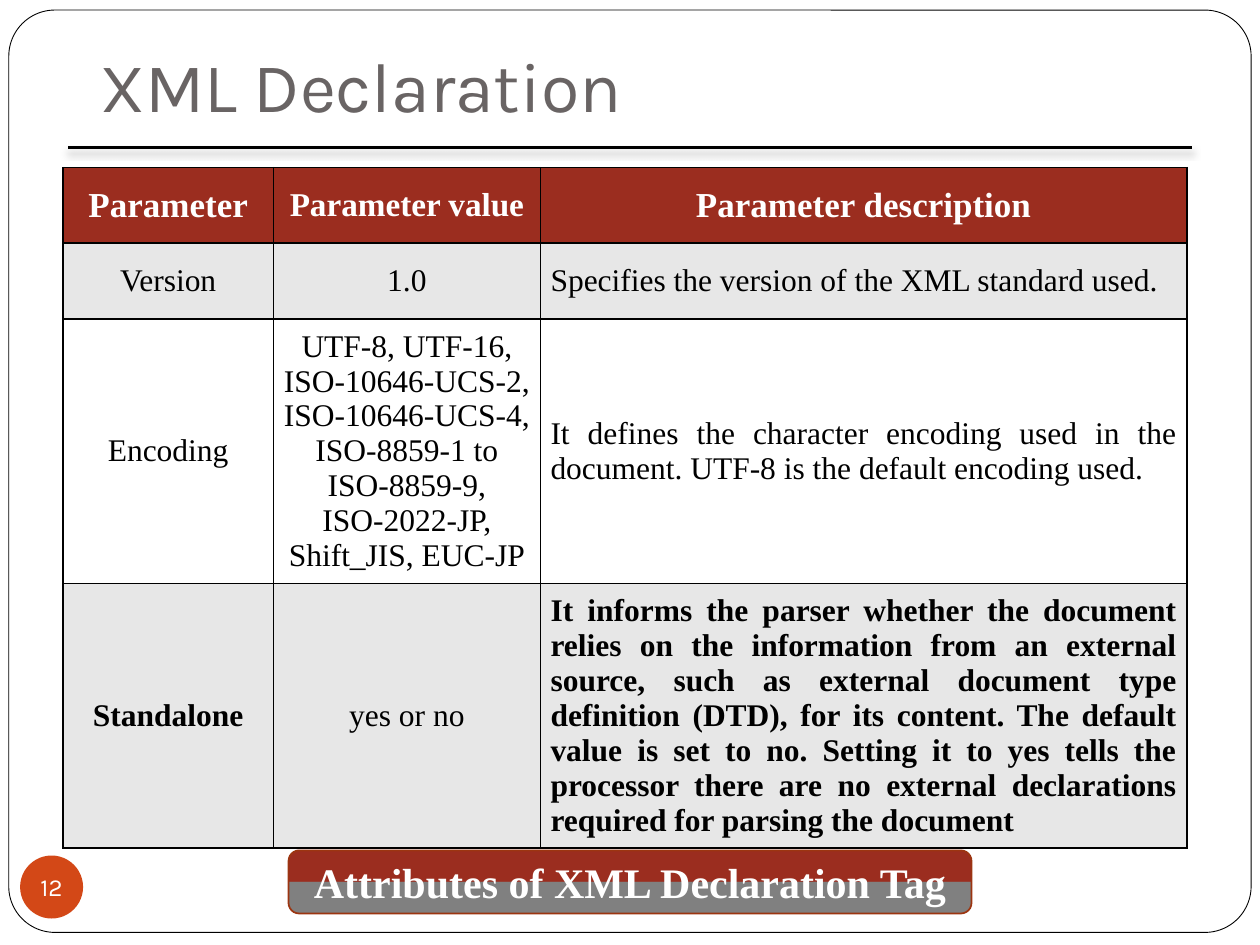
import pptx
import pptx.dml.color
import pptx.enum.dml
import pptx.enum.shapes
import pptx.enum.text
import pptx.oxml
import pptx.util

Inches = pptx.util.Inches
Pt = pptx.util.Pt
Align = pptx.enum.text.PP_ALIGN
Anchor = pptx.enum.text.MSO_ANCHOR
Preset = pptx.enum.shapes.MSO_SHAPE
NS = 'xmlns:a="http://schemas.openxmlformats.org/drawingml/2006/main"'


def rgb(value):
    return pptx.dml.color.RGBColor.from_string(value)


def write(frame, text, size=18, font="Times New Roman", color="000000",
          bold=False, align=Align.CENTER, anchor=Anchor.MIDDLE, wrap=True):
    frame.word_wrap = wrap
    frame.vertical_anchor = anchor
    paragraph = frame.paragraphs[0]
    paragraph.alignment = align
    run = paragraph.add_run()
    run.text = text
    run.font.size = Pt(size)
    run.font.name = font
    run.font.bold = bold
    run.font.color.rgb = rgb(color)


deck = pptx.Presentation()
deck.slide_width = Inches(10)
deck.slide_height = Inches(7.5)
slide = deck.slides.add_slide(deck.slide_layouts[6])
shapes = slide.shapes

border = shapes.add_shape(Preset.ROUNDED_RECTANGLE, Inches(0.07), Inches(0.08), Inches(9.86), Inches(7.32))
border.adjustments[0] = 0.05
border.shadow.inherit = False
border.fill.solid()
border.fill.fore_color.rgb = rgb("FFFFFF")
border.line.color.rgb = rgb("000000")
border.line.width = Pt(0.5)

page_number = shapes.add_shape(Preset.OVAL, Inches(0.16), Inches(6.79), Inches(0.5), Inches(0.5))
page_number.shadow.inherit = False
page_number.fill.solid()
page_number.fill.fore_color.rgb = rgb("D34817")
page_number.line.fill.background()
number_frame = page_number.text_frame
number_frame.margin_left = number_frame.margin_right = 0
number_frame.margin_top = number_frame.margin_bottom = 0
write(number_frame, "12", size=14, font="Karla", color="FFFFFF", wrap=False)

title_rule = shapes.add_connector(pptx.enum.shapes.MSO_CONNECTOR.STRAIGHT,
                                  Inches(0.54), Inches(1.17), Inches(9.46), Inches(1.17))
title_rule.line.color.rgb = rgb("000000")
title_rule.line.width = Pt(1.5)
title_rule._element.spPr.append(pptx.oxml.parse_xml(
    f'<a:effectLst {NS}><a:outerShdw blurRad="{Pt(4)}" dist="{Pt(3)}" dir="5400000" rotWithShape="0">'
    '<a:srgbClr val="000000"><a:alpha val="40000"/></a:srgbClr></a:outerShdw></a:effectLst>'))

header = ["Parameter", "Parameter value", "Parameter description"]
attributes = [
    ["Version", "1.0", "Specifies the version of the XML standard used."],
    ["Encoding",
     "UTF-8, UTF-16, ISO-10646-UCS-2, ISO-10646-UCS-4, ISO-8859-1 to ISO-8859-9, "
     "ISO-2022-JP, Shift_JIS, EUC-JP",
     "It defines the character encoding used in the document. UTF-8 is the default encoding used."],
    ["Standalone", "yes or no",
     "It informs the parser whether the document relies on the information from an external source, "
     "such as external document type definition (DTD), for its content. The default value is set "
     "to no. Setting it to yes tells the processor there are no external declarations required "
     "for parsing the document"],
]
column_widths = [1.67, 2.12, 5.13]
row_heights = [0.6, 0.6, 2.1, 2.1]
row_fills = ["9B2D1F", "E7E7E7", "FFFFFF", "E7E7E7"]

parameters = shapes.add_table(4, 3, Inches(0.5), Inches(1.33), Inches(8.92), Inches(5.4)).table
for column, width in zip(parameters.columns, column_widths):
    column.width = Inches(width)
for row, height in zip(parameters.rows, row_heights):
    row.height = Inches(height)

for r, texts in enumerate([header] + attributes):
    for c, text in enumerate(texts):
        cell = parameters.cell(r, c)
        cell.margin_left = cell.margin_right = Inches(0.08)
        cell.margin_top = cell.margin_bottom = Inches(0.08)
        cell.vertical_anchor = Anchor.MIDDLE
        cell_properties = cell._tc.get_or_add_tcPr()
        for side in ("lnL", "lnR", "lnT", "lnB"):
            cell_properties.append(pptx.oxml.parse_xml(
                f'<a:{side} {NS} w="{Pt(1)}"><a:solidFill><a:srgbClr val="000000"/>'
                f'</a:solidFill></a:{side}>'))
        cell.fill.solid()
        cell.fill.fore_color.rgb = rgb(row_fills[r])
        if r == 0:
            write(cell.text_frame, text, size=19 if c == 1 else 20, color="FFFFFF", bold=True)
        else:
            write(cell.text_frame, text, bold=r == 3 and c != 1,
                  align=Align.JUSTIFY if c == 2 else Align.CENTER)
        cell.vertical_anchor = Anchor.MIDDLE

title = shapes.add_textbox(Inches(0.7), Inches(0.22), Inches(8.5), Inches(0.88))
title.text_frame.margin_bottom = Inches(0.1)
write(title.text_frame, "XML Declaration", size=40, font="Karla", color="696464",
      align=Align.LEFT, anchor=Anchor.BOTTOM)

caption = shapes.add_shape(Preset.ROUNDED_RECTANGLE, Inches(2.29), Inches(6.75), Inches(5.42), Inches(0.5))
caption.shadow.inherit = False
caption.fill.gradient()
caption.fill.gradient_angle = 90
for stop, (position, color) in zip(caption.fill.gradient_stops, [(0.5, "808080"), (0.51, "9B2D1F")]):
    stop.position = position
    stop.color.rgb = rgb(color)
caption.line.color.rgb = rgb("9C3511")
caption.line.width = Pt(1)
write(caption.text_frame, "Attributes of XML Declaration Tag", size=24, color="FFFFFF", bold=True)

deck.save("out.pptx")
